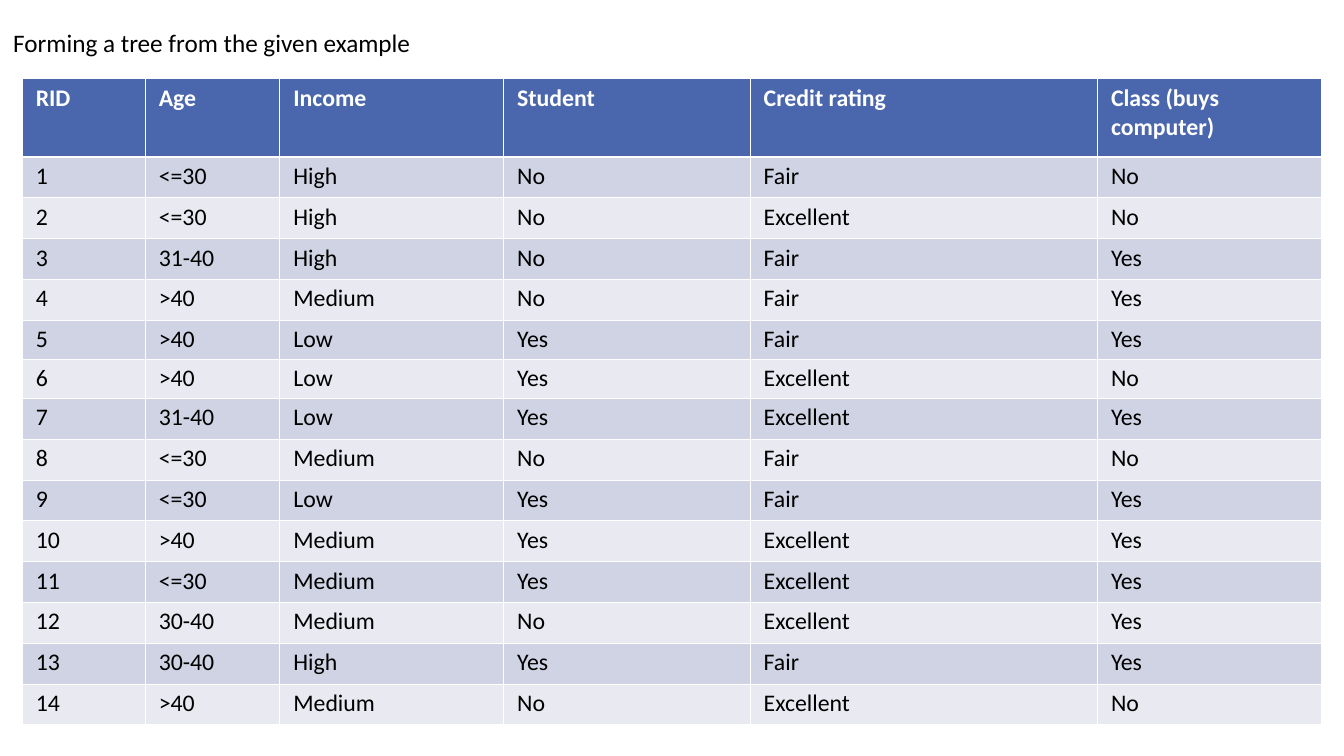
from pptx import Presentation
from pptx.dml.color import RGBColor
from pptx.enum.text import MSO_ANCHOR, MSO_AUTO_SIZE, PP_ALIGN
from pptx.oxml.ns import qn
from pptx.util import Inches, Pt
from lxml.etree import SubElement

FONT = "Calibri"
WHITE = "FFFFFF"
BLACK = "000000"
HEADER_FILL = "4A66AC"
BAND_FILLS = ("E9EAF1", "D0D3E3")

COLUMN_WIDTHS = (2.44, 2.67, 4.44, 4.89, 6.89, 4.44)
HEADER_HEIGHT = 1.55
ROW_HEIGHT = 0.81
SHORT_ROW_HEIGHT = 0.73
SHORT_ROWS = (5, 6)

HEADINGS = ("RID", "Age", "Income", "Student", "Credit rating", "Class (buys computer)")
CUSTOMERS = (
    ("1", "<=30", "High", "No", "Fair", "No"),
    ("2", "<=30", "High", "No", "Excellent", "No"),
    ("3", "31-40", "High", "No", "Fair", "Yes"),
    ("4", ">40", "Medium", "No", "Fair", "Yes"),
    ("5", ">40", "Low", "Yes", "Fair", "Yes"),
    ("6", ">40", "Low", "Yes", "Excellent", "No"),
    ("7", "31-40", "Low", "Yes", "Excellent", "Yes"),
    ("8", "<=30", "Medium", "No", "Fair", "No"),
    ("9", "<=30", "Low", "Yes", "Fair", "Yes"),
    ("10", ">40", "Medium", "Yes", "Excellent", "Yes"),
    ("11", "<=30", "Medium", "Yes", "Excellent", "Yes"),
    ("12", "30-40", "Medium", "No", "Excellent", "Yes"),
    ("13", "30-40", "High", "Yes", "Fair", "Yes"),
    ("14", ">40", "Medium", "No", "Excellent", "No"),
)


def color(value):
    return RGBColor.from_string(value)


def format_paragraph(paragraph, size, shade, bold=False):
    paragraph.alignment = PP_ALIGN.LEFT
    paragraph.font.name = FONT
    paragraph.font.size = Pt(size)
    paragraph.font.bold = bold
    paragraph.font.color.rgb = color(shade)


def add_title(page, text):
    title = page.shapes.title
    title.left, title.top = Inches(0.16), Inches(0.42)
    title.width, title.height = Inches(23.99), Inches(0.93)
    frame = title.text_frame
    frame.text = text
    frame.word_wrap = True
    frame.auto_size = MSO_AUTO_SIZE.NONE
    frame.vertical_anchor = MSO_ANCHOR.MIDDLE
    paragraph = frame.paragraphs[0]
    paragraph.line_spacing = 0.9
    format_paragraph(paragraph, 36, BLACK)


def set_borders(cell, top, bottom):
    properties = cell._tc.get_or_add_tcPr()
    for side, width in (("L", 1), ("R", 1), ("T", top), ("B", bottom)):
        line = SubElement(properties, qn(f"a:ln{side}"), w=str(Pt(width)))
        fill = SubElement(line, qn("a:solidFill"))
        SubElement(fill, qn("a:srgbClr"), val=WHITE)


def format_cell(cell, text, row):
    header = row == 0
    cell.text = text
    cell.margin_left = cell.margin_right = Inches(0.27)
    cell.margin_top = cell.margin_bottom = Inches(0.1)
    set_borders(cell, top=3 if row == 1 else 1, bottom=3 if header else 1)
    cell.fill.solid()
    cell.fill.fore_color.rgb = color(HEADER_FILL if header else BAND_FILLS[row % 2])
    format_paragraph(cell.text_frame.paragraphs[0], 34, WHITE if header else BLACK, header)


def row_height(row):
    if row == 0:
        return HEADER_HEIGHT
    return SHORT_ROW_HEIGHT if row in SHORT_ROWS else ROW_HEIGHT


def add_customer_table(page):
    rows = (HEADINGS,) + CUSTOMERS
    heights = [row_height(row) for row in range(len(rows))]
    table = page.shapes.add_table(
        len(rows), len(HEADINGS), Inches(0.44), Inches(1.56),
        Inches(sum(COLUMN_WIDTHS)), Inches(sum(heights)),
    ).table
    for column, width in zip(table.columns, COLUMN_WIDTHS):
        column.width = Inches(width)
    for row, (values, height) in enumerate(zip(rows, heights)):
        table.rows[row].height = Inches(height)
        for column, value in enumerate(values):
            format_cell(table.cell(row, column), value, row)


def main():
    deck = Presentation()
    deck.slide_width, deck.slide_height = Inches(26.66), Inches(15)
    page = deck.slides.add_slide(deck.slide_layouts[5])
    page.background.fill.solid()
    page.background.fill.fore_color.rgb = color(WHITE)
    add_title(page, "Forming a tree from the given example")
    add_customer_table(page)
    deck.save("out.pptx")


if __name__ == "__main__":
    main()
